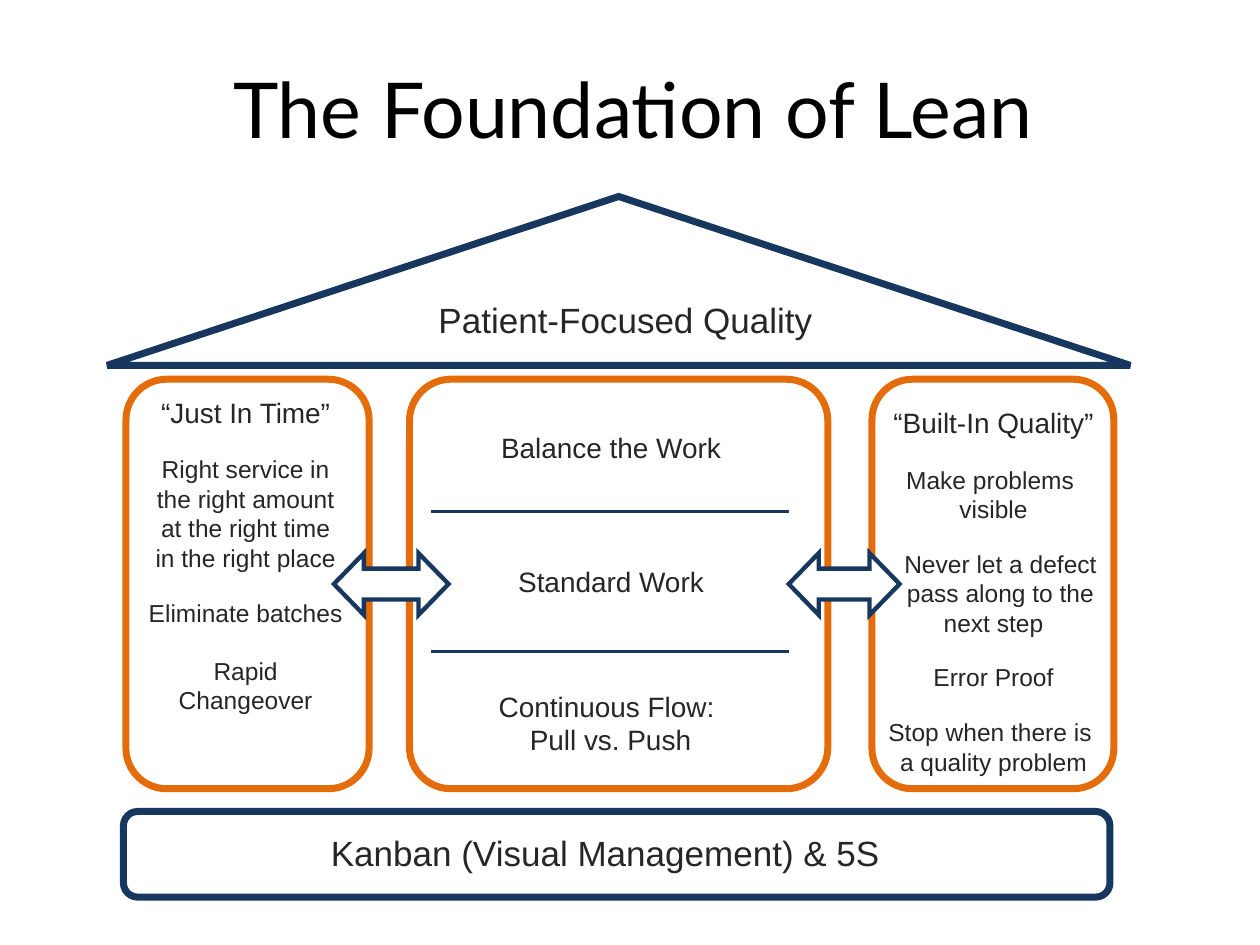
from dataclasses import dataclass

from lxml import etree
from pptx import Presentation
from pptx.dml.color import RGBColor
from pptx.enum.shapes import MSO_CONNECTOR, MSO_SHAPE
from pptx.enum.text import MSO_ANCHOR, PP_ALIGN
from pptx.oxml.ns import qn
from pptx.util import Inches, Pt

ROUND = MSO_SHAPE.ROUNDED_RECTANGLE
TRIANGLE = MSO_SHAPE.ISOSCELES_TRIANGLE
ARROW = MSO_SHAPE.LEFT_RIGHT_ARROW
STRAIGHT = MSO_CONNECTOR.STRAIGHT
CENTER = PP_ALIGN.CENTER
LEFT = PP_ALIGN.LEFT
MIDDLE = MSO_ANCHOR.MIDDLE

WHITE = RGBColor(0xFF, 0xFF, 0xFF)
BLACK = RGBColor(0, 0, 0)
NAVY = RGBColor(0x17, 0x37, 0x5E)
ORANGE = RGBColor(0xE4, 0x6C, 0x0A)
DARK = RGBColor(0x26, 0x26, 0x26)


@dataclass
class Block:
    kind: int
    box: tuple[float, float, float, float]
    color: RGBColor
    width: float = 4
    adj: tuple[float, ...] = ()


@dataclass
class Para:
    text: str
    size: float = 14
    before: float = 14.5
    indent: float = 0
    spacing: float = 1


@dataclass
class Label:
    box: tuple[float, float, float, float]
    paras: list[Para]
    wrap: bool = True


BLOCKS = [
    Block(ROUND, (6.92, 3.01, 1.92, 3.25), ORANGE, adj=(0.167,)),
    Block(ROUND, (3.25, 3.01, 3.32, 3.25), ORANGE, adj=(0.101,)),
    Block(ROUND, (1, 3.01, 1.93, 3.25), ORANGE, adj=(0.167,)),
    Block(ROUND, (0.98, 6.44, 7.83, 0.68), NAVY, adj=(0.167,)),
    Block(TRIANGLE, (0.85, 1.56, 8.12, 1.34), NAVY),
]
ARROWS = [
    Block(ARROW, (x, 4.39, w, 0.49), NAVY, 2.5, (0.5, 0.486))
    for x, w in ((6.26, 0.88), (2.65, 0.91))
]
DIVIDERS = (4.06, 5.17)

LABELS = [
    Label((3.28, 3.47, 3.14, 0.26), [Para("Balance the Work", 16, 0, spacing=0.55)]),
    Label((3.28, 4.54, 3.14, 0.26), [Para("Standard Work", 16, 0, spacing=0.55)]),
    Label((3.27, 5.42, 3.15, 0.64), [Para("Continuous Flow: \vPull vs. Push", 16, 0)]),
    Label((2.38, 6.68, 4.85, 0.29),
          [Para("Kanban (Visual Management) & 5S", 20, 0, spacing=0.55)]),
    Label((1.08, 3.09, 1.74, 2.66), [
        Para("“Just In Time”", 16, 0),
        Para("Right service in the right amount at the right time in the right place"),
        Para("Eliminate batches"),
        Para("Rapid Changeover", before=16.5),
    ]),
    Label((6.84, 3.17, 2.09, 3.33), [
        Para("“Built-In Quality”", 16, 0),
        Para("Make problems \vvisible"),
        Para("Never let a defect\vpass along to the", indent=8),
        Para("next step", before=0),
        Para("Error Proof"),
        Para("Stop when there is \va quality problem"),
    ]),
    Label((3.37, 2.32, 3.19, 0.44), [Para("Patient-Focused Quality", 20, 0)], False),
]


def add_block(slide, block: Block) -> None:
    sp = slide.shapes.add_shape(block.kind, *map(Inches, block.box))
    sp.shadow.inherit = False
    for i, value in enumerate(block.adj):
        sp.adjustments[i] = value
    sp.fill.solid()
    sp.fill.fore_color.rgb = WHITE
    sp.line.color.rgb = block.color
    sp.line.width = Pt(block.width)
    ln = sp.line._get_or_add_ln()
    etree.SubElement(ln, qn("a:miter"), lim="800000")


def add_divider(slide, y: float) -> None:
    cx = slide.shapes.add_connector(
        STRAIGHT, Inches(3.42), Inches(y), Inches(6.26), Inches(y))
    cx.line.color.rgb = NAVY
    cx.line.width = Pt(2)
    etree.SubElement(cx._element.spPr, qn("a:effectLst"))


def add_label(slide, label: Label) -> None:
    tf = slide.shapes.add_textbox(*map(Inches, label.box)).text_frame
    tf.word_wrap = label.wrap
    for i, para in enumerate(label.paras):
        p = tf.add_paragraph() if i else tf.paragraphs[0]
        p.text = para.text
        p.alignment = CENTER
        p.line_spacing = para.spacing
        p.space_before = Pt(para.before)
        p.font.name = "Arial"
        p.font.size = Pt(para.size)
        p.font.color.rgb = DARK
        if para.indent:
            p._p.get_or_add_pPr().set("marL", str(Pt(para.indent)))


def add_title(slide, text: str) -> None:
    sp = slide.shapes.title
    sp.left, sp.top, sp.width, sp.height = map(Inches, (1.75, 0.42, 6.72, 0.87))
    tf = sp.text_frame
    tf.vertical_anchor = MIDDLE
    p = tf.paragraphs[0]
    p.text = text
    p.alignment = LEFT
    p.font.name = "Lato"
    p.font.size = Pt(44)
    p.font.color.rgb = BLACK


def main() -> None:
    prs = Presentation()
    prs.slide_width, prs.slide_height = Inches(10), Inches(7.5)
    slide = prs.slides.add_slide(prs.slide_layouts[5])
    add_title(slide, "The Foundation of Lean")
    for block in BLOCKS:
        add_block(slide, block)
    for y in DIVIDERS:
        add_divider(slide, y)
    for label in LABELS:
        add_label(slide, label)
    for arrow in ARROWS:
        add_block(slide, arrow)
    prs.save("out.pptx")


if __name__ == "__main__":
    main()
